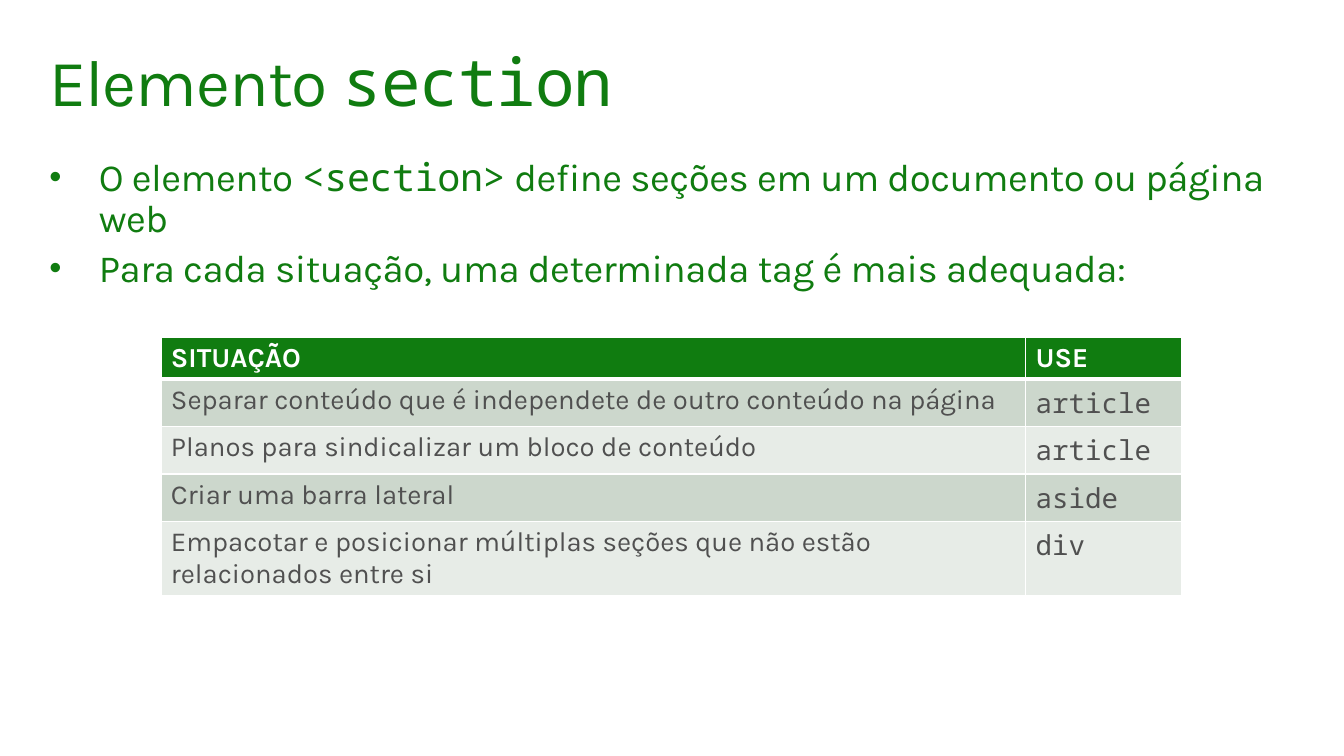
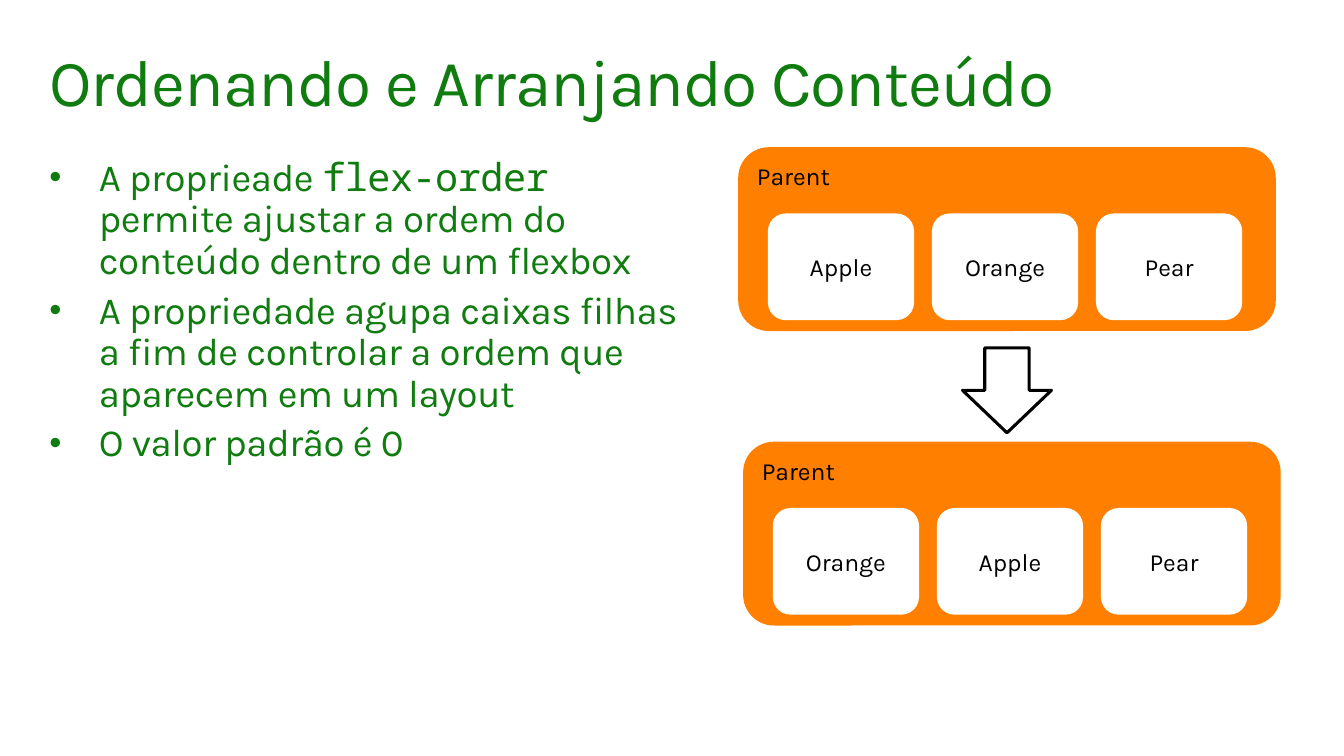
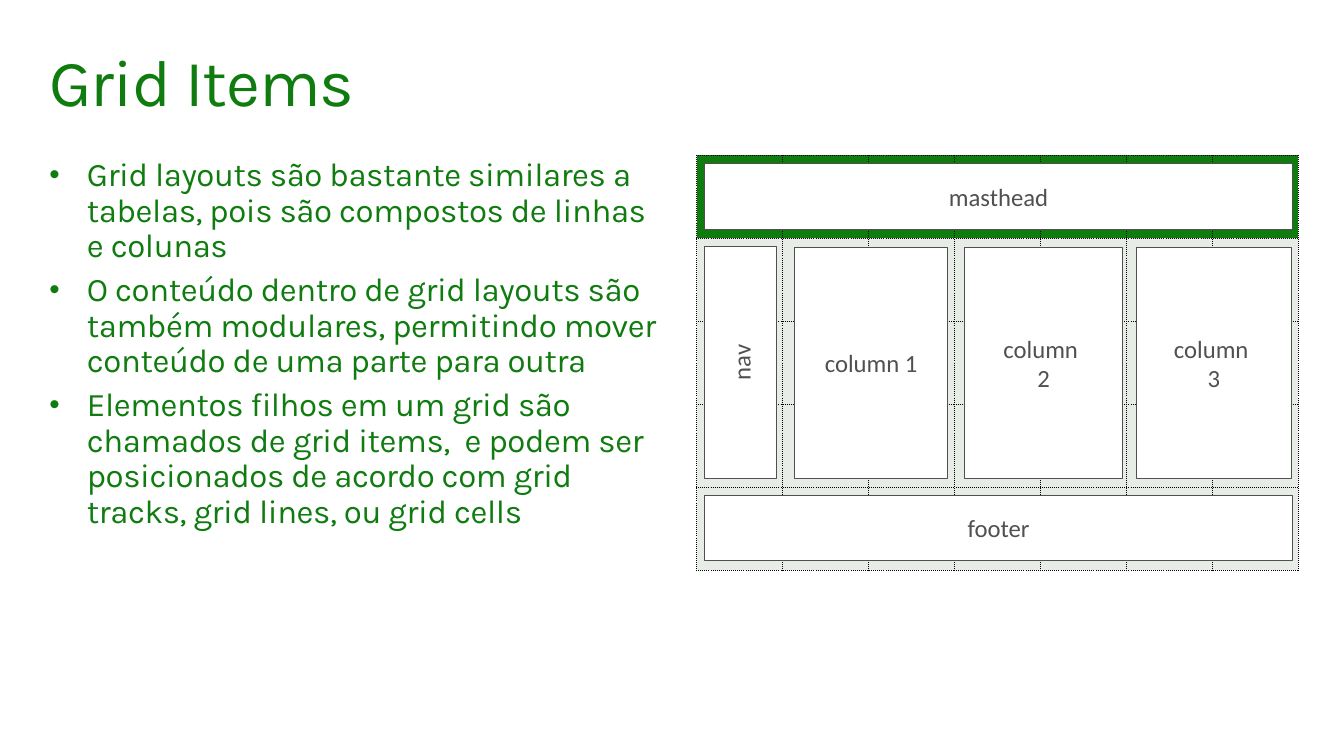
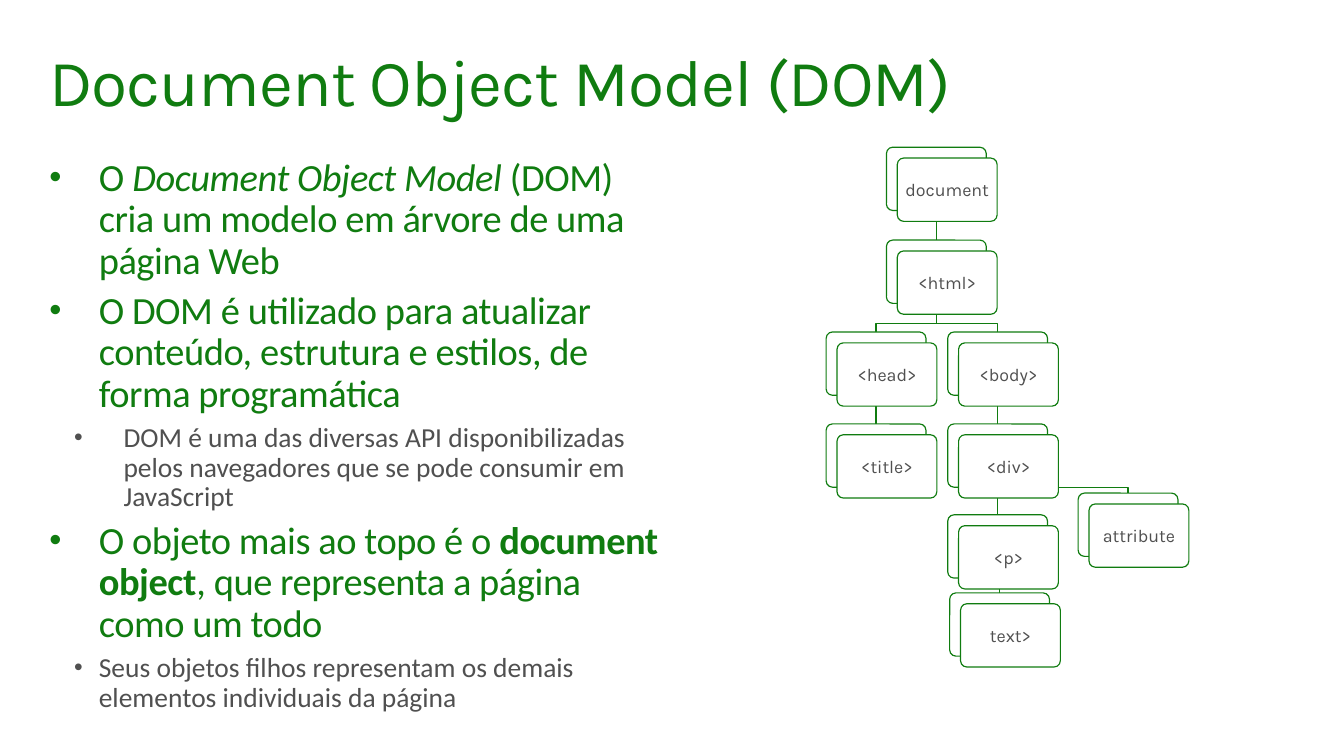
from lxml import etree
from pptx import Presentation
from pptx import util as u
from pptx.dml.color import RGBColor
from pptx.enum import shapes, text
from pptx.oxml import ns

GREEN, GREY, WHITE, BLACK = "107C10", "505050", "FFFFFF", "000000"
ORANGE, BAND_DARK, BAND_LIGHT = "FF8000", "CCD7CC", "E7ECE7"
SANS, MONO, PLAIN = "Karla", "Noto Sans Mono", "Calibri"
ROUND, RECT = shapes.MSO_SHAPE.ROUNDED_RECTANGLE, shapes.MSO_SHAPE.RECTANGLE
TOP, MIDDLE = text.MSO_ANCHOR.TOP, text.MSO_ANCHOR.MIDDLE
LEFT, CENTER = text.PP_ALIGN.LEFT, text.PP_ALIGN.CENTER

CODE = {"name": MONO}
TITLE = {"name": SANS, "size": u.Pt(48), "color": GREEN, "spacing": -70}
BODY = {"name": SANS, "size": u.Pt(28), "color": GREEN, "spacing": -30}
DETAIL = {"name": PLAIN, "size": u.Pt(20), "color": GREY}
LABEL = {"name": SANS, "size": u.Pt(18), "color": BLACK}
GRID_LABEL = {**LABEL, "name": PLAIN, "color": GREY}
NODE_LABEL = {**LABEL, "size": u.Pt(13), "color": GREY}
CELL = {"name": SANS, "size": u.Pt(20), "color": GREY, "bold": False}
HEADER = {**CELL, "color": WHITE, "bold": True}


def rgb(color):
    return RGBColor.from_string(color)


def apply(target, values):
    for name, value in values.items():
        setattr(target, name, value)


def child(parent, tag, **attributes):
    return etree.SubElement(parent, ns.qn(tag), attributes)


class Deck:
    """Holds the deck, its style and the current slide."""

    def __init__(self, width, height):
        self.deck = Presentation()
        apply(self.deck, {"slide_width": u.Inches(width),
                          "slide_height": u.Inches(height)})
        self.page = None

    # Text
    def spans(self, para, parts, style):
        """parts is a string or a list of strings and (string, format) pairs."""
        for part in [parts] if isinstance(parts, str) else parts:
            words, extra = (part, {}) if isinstance(part, str) else part
            values = {**style, **extra}
            span = para.add_run()
            span.text = words
            span.font.color.rgb = rgb(values.pop("color"))
            spacing = values.pop("spacing", 0)
            if spacing:
                span.font._rPr.set("spc", str(spacing))
            apply(span.font, values)

    def frame(self, box, anchor, margins=None):
        frame = box.text_frame
        apply(frame, {"word_wrap": True, "auto_size": text.MSO_AUTO_SIZE.NONE,
                      "vertical_anchor": anchor})
        if margins is not None:
            sides = ("left", "top", "right", "bottom")
            apply(frame, {f"margin_{side}": u.Inches(margins) for side in sides})
        return frame

    def place(self, box, left, top, width, height):
        apply(box, {"left": u.Inches(left), "top": u.Inches(top),
                    "width": u.Inches(width), "height": u.Inches(height)})

    def slide(self, title):
        self.page = self.deck.slides.add_slide(self.deck.slide_layouts[1])
        box = self.page.shapes.title
        self.place(box, 0.4, 0.4, 12.8, 1)
        para = self.frame(box, TOP, 0.1).paragraphs[0]
        apply(para, {"alignment": LEFT, "line_spacing": 0.9})
        self.spans(para, title, TITLE)

    def bullets(self, width, height, items, indent=0.5, **changes):
        """items are parts, or (level, left margin, hanging indent, parts)."""
        box = self.page.placeholders[1]
        self.place(box, 0.4, 1.5, width, height)
        frame = self.frame(box, TOP, 0.1)
        for index, item in enumerate(items):
            para = frame.add_paragraph() if index else frame.paragraphs[0]
            level, margin, hang, parts = (
                item if isinstance(item, tuple) else (0, indent, indent, item))
            apply(para, {"level": level, "line_spacing": 0.9, "alignment": LEFT,
                         "space_before": u.Pt(6 if index else 0)})
            format_ = para._p.get_or_add_pPr()
            format_.set("marL", str(u.Inches(margin)))
            format_.set("indent", str(-u.Inches(hang)))
            child(format_, "a:buSzPct", val="90000")
            child(format_, "a:buFont", typeface="Arial")
            child(format_, "a:buChar", char="•")
            self.spans(para, parts, DETAIL if level else {**BODY, **changes})

    # Shapes
    def paint(self, shape, fill, line, weight):
        shape.shadow.inherit = False
        for part, color in ((shape.fill, fill), (shape.line.fill, line)):
            if color:
                part.solid()
                part.fore_color.rgb = rgb(color)
            else:
                part.background()
        if line:
            shape.line.width = u.Pt(weight)

    def shape(self, kind, at, fill=None, line=None, weight=0.75, label="",
              style=LABEL, anchor=MIDDLE, align=CENTER, margins=None, corner=None):
        shape = self.page.shapes.add_shape(kind, *map(u.Inches, at))
        if corner is not None:
            shape.adjustments[0] = corner
        self.paint(shape, fill, line, weight)
        if label:
            frame = self.frame(shape, anchor, margins)
            for index, words in enumerate(label.split("\n")):
                para = frame.add_paragraph() if index else frame.paragraphs[0]
                para.alignment = align
                self.spans(para, words, style)
        return shape

    def link(self, *points):
        points = [(u.Inches(x), u.Inches(y)) for x, y in points]
        if len(points) == 2:
            line = self.page.shapes.add_connector(
                shapes.MSO_CONNECTOR.STRAIGHT, *points[0], *points[1])
            child(line._element.spPr, "a:effectLst")
            line.line.color.rgb = rgb(GREEN)
            line.line.width = u.Pt(0.85)
        else:
            builder = self.page.shapes.build_freeform(*points[0])
            builder.add_line_segments(points[1:], close=False)
            self.paint(builder.convert_to_shape(), None, GREEN, 0.85)

    # Tables
    def table(self, left, top, columns, rows):
        height = sum(rows)
        table = self.page.shapes.add_table(
            len(rows), len(columns),
            *map(u.Inches, (left, top, sum(columns), height))).table
        apply(table, {"first_row": False, "horz_banding": False})
        for lines, sizes, name in ((table.columns, columns, "width"),
                                   (table.rows, rows, "height")):
            for line, size in zip(lines, sizes):
                setattr(line, name, u.Inches(size))
        return table

    def cell(self, cell, fill, color, dash="solid", **weights):
        """Borders are 1 point unless weights names a side: L, R, T or B."""
        for side in "LRTB":
            line = child(cell._tc.get_or_add_tcPr(), f"a:ln{side}",
                         w=str(u.Pt(weights.get(side, 1))))
            child(child(line, "a:solidFill"), "a:srgbClr", val=color)
            child(line, "a:prstDash", val=dash)
        cell.fill.solid()
        cell.fill.fore_color.rgb = rgb(fill)


def section_slide(deck):
    deck.slide(["Elemento ", ("section", CODE)])
    deck.bullets(12.8, 1.13, [
        ["O elemento ", ("<section>", CODE),
         " define seções em um documento ou página web"],
        "Para cada situação, uma determinada tag é mais adequada:"])
    uses = [
        ("SITUAÇÃO", "USE"),
        ("Separar conteúdo que é independete de outro conteúdo na página", "article"),
        ("Planos para sindicalizar um bloco de conteúdo", "article"),
        ("Criar uma barra lateral", "aside"),
        ("Empacotar e posicionar múltiplas seções que não estão "
         "relacionados entre si", "div")]
    table = deck.table(1.63, 3.41, [8.75, 1.58], [0.42] * len(uses))
    for row, values in enumerate(uses):
        fill = (BAND_DARK if row % 2 else BAND_LIGHT) if row else GREEN
        weights = {0: {"B": 3}, 1: {"T": 3}}.get(row, {})
        for column, words in enumerate(values):
            cell = table.cell(row, column)
            deck.cell(cell, fill, WHITE, **weights)
            style = {**CELL, **(CODE if column else {})} if row else HEADER
            deck.spans(cell.text_frame.paragraphs[0], words, style)


def order_slide(deck):
    deck.slide("Ordenando e Arranjando Conteúdo")
    deck.bullets(6.82, 3.34, [
        ["A proprieade ", ("flex-order ", CODE),
         "permite ajustar a ordem do conteúdo dentro de um flexbox"],
        "A propriedade agupa caixas filhas a fim de controlar a ordem que "
        "aparecem em um layout",
        "O valor padrão é 0"])
    # Flexbox before and after
    for left, top, fruits in ((7.47, 1.49, ("Apple", "Orange", "Pear")),
                              (7.52, 4.47, ("Orange", "Apple", "Pear"))):
        deck.shape(ROUND, (left, top, 5.44, 1.86), ORANGE, label="Parent",
                   anchor=TOP, align=LEFT)
        for index, fruit in enumerate(fruits):
            deck.shape(ROUND, (left + 0.3 + 1.66 * index, top + 0.67, 1.48, 1.08),
                       WHITE, label=fruit)
    deck.shape(shapes.MSO_SHAPE.DOWN_ARROW, (9.74, 3.52, 0.9, 0.86),
               line=BLACK, weight=2.25)


def grid_slide(deck):
    deck.slide("Grid Items")
    deck.bullets(6.4, 4.01, [
        "Grid layouts são bastante similares a tabelas, pois são compostos de "
        "linhas e colunas",
        "O conteúdo dentro de grid layouts são também modulares, permitindo "
        "mover conteúdo de uma parte para outra",
        "Elementos filhos em um grid são chamados de grid items,  e podem ser "
        "posicionados de acordo com grid tracks, grid lines, ou grid cells"],
        indent=0.38, size=u.Pt(24))
    # Grid cells
    table = deck.table(7.05, 1.57, [0.87] * 7, [0.84] * 5)
    for row in range(5):
        for column in range(7):
            deck.cell(table.cell(row, column), BAND_LIGHT if row else GREEN,
                      BLACK, "sysDot")
    # Grid items
    items = [("masthead", (7.13, 1.66, 5.95, 0.66)),
             ("nav", (7.13, 2.49, 0.73, 2.35)),
             ("column 1", (8.04, 2.51, 1.55, 2.33)),
             ("column \n2", (9.76, 2.51, 1.6, 2.33)),
             ("column \n3", (11.5, 2.51, 1.57, 2.33)),
             ("footer", (7.13, 5.01, 5.95, 0.66))]
    for label, at in items:
        box = deck.shape(RECT, at, WHITE, GREY, label=label, style=GRID_LABEL)
        if label == "nav":
            box.text_frame._bodyPr.set("vert", "vert270")


def dom_slide(deck):
    deck.slide("Document Object Model (DOM)")
    deck.bullets(6.4, 5.87, [
        ["O ", ("Document Object Model", {"italic": True}),
         " (DOM) cria um modelo em árvore de uma página Web"],
        "O DOM é utilizado para atualizar conteúdo, estrutura e estilos, de "
        "forma programática",
        (1, 0.75, 0.5, "DOM é uma das diversas API disponibilizadas pelos "
                       "navegadores que se pode consumir em JavaScript"),
        ["O objeto mais ao topo é o ", ("document object", {"bold": True}),
         ", que representa a página como um todo"],
        (2, 0.5, 0.25, "Seus objetos filhos representam os demais elementos "
                       "individuais da página")],
        name=PLAIN)
    # Tree: label, left, top, parent
    width, height, offset = 1.01, 0.64, 0.11
    nodes = [("document", 8.97, 1.49, None), ("<html>", 8.97, 2.43, "document"),
             ("<head>", 8.36, 3.36, "<html>"), ("<title>", 8.36, 4.29, "<head>"),
             ("<body>", 9.59, 3.36, "<html>"), ("<div>", 9.59, 4.29, "<body>"),
             ("attribute", 10.91, 4.99, "<div>"), ("<p>", 9.59, 5.21, "<div>"),
             ("text>", 9.61, 6, "<p>")]
    places = {label: (left + width / 2, top) for label, left, top, _ in nodes}
    for label, _, _, parent in nodes:
        if parent is None:
            continue
        (end_x, end_y), (start_x, start_y) = places[label], places[parent]
        start_y += height
        bend = start_y if label == "attribute" else end_y - 0.09
        if start_x == end_x:
            deck.link((start_x, start_y), (end_x, end_y))
        else:
            deck.link((start_x, start_y), (start_x, bend), (end_x, bend),
                      (end_x, end_y))
    for label, left, top, _ in nodes:
        for shift, words in ((0, ""), (offset, label)):
            deck.shape(ROUND, (left + shift, top + shift, width, height), WHITE,
                       GREEN, 0.85, words, NODE_LABEL, margins=0.05, corner=0.1)


def main():
    deck = Deck(13.6, 7.65)
    for build in (section_slide, order_slide, grid_slide, dom_slide):
        build(deck)
    deck.deck.save("out.pptx")


if __name__ == "__main__":
    main()
